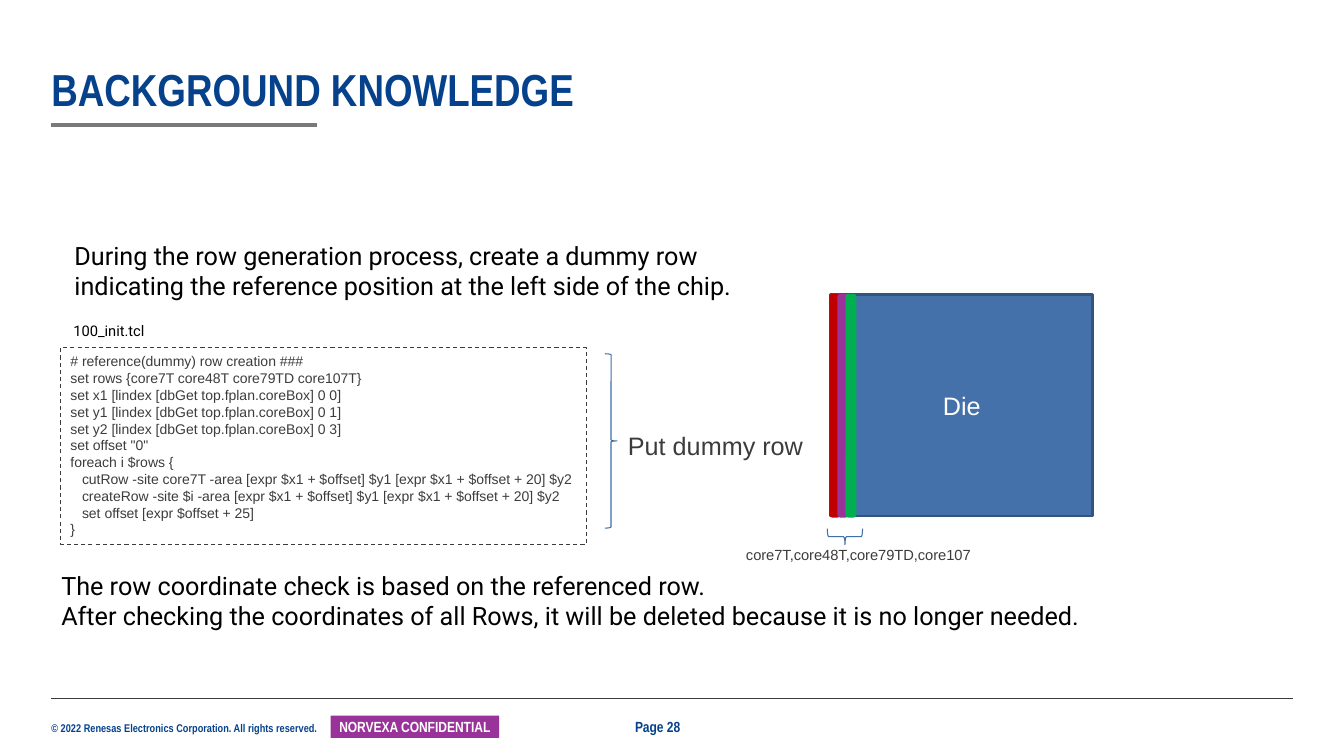
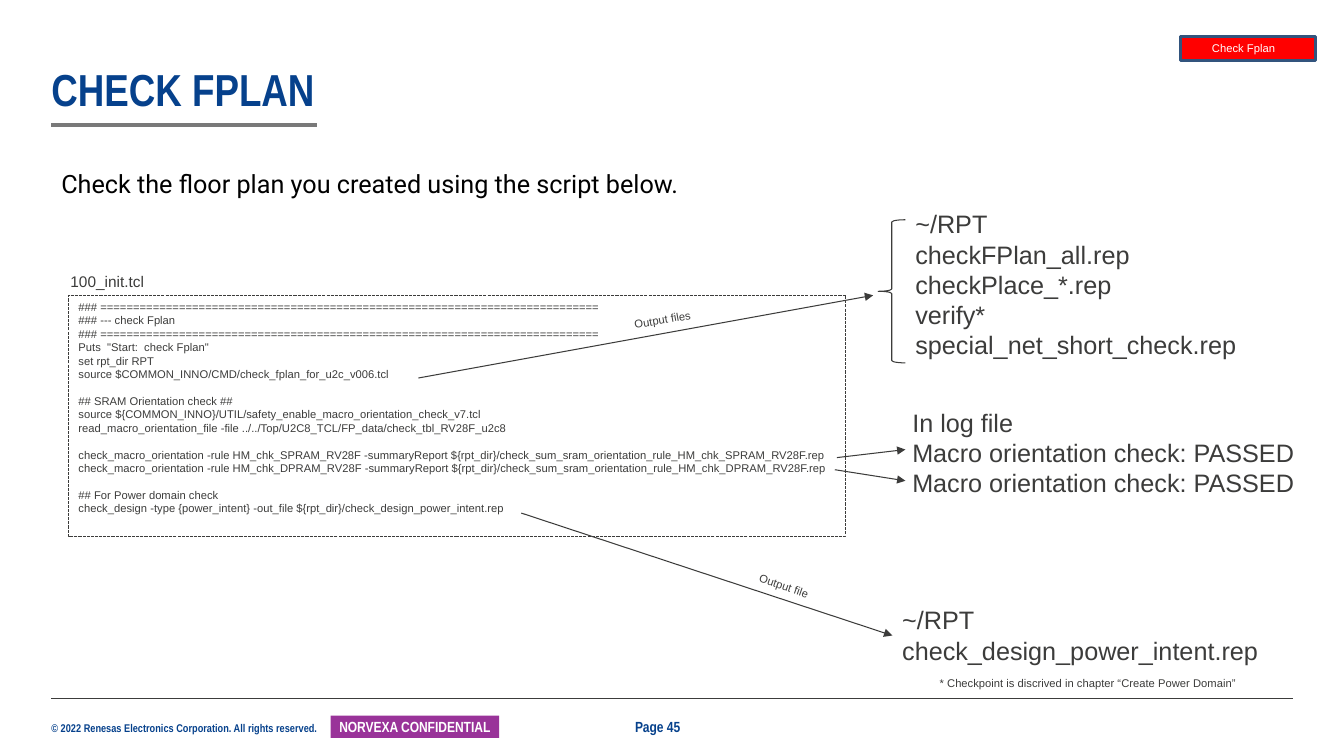
from dataclasses import dataclass

from lxml.etree import SubElement
from pptx import Presentation
from pptx.dml.color import RGBColor
from pptx.enum.dml import MSO_LINE as Dash
from pptx.enum.shapes import MSO_CONNECTOR as Connector, MSO_SHAPE as Preset
from pptx.enum.text import MSO_ANCHOR as Anchor, MSO_AUTO_SIZE as Fit, PP_ALIGN as Align
from pptx.oxml.ns import qn
from pptx.util import Emu, Pt

PX = 9144


@dataclass(frozen=True)
class Theme:
    navy: str = "06418C"
    ink: str = "3C3C3B"
    black: str = "000000"
    white: str = "FFFFFF"
    rule: str = "797979"
    purple: str = "993399"
    crimson: str = "C00000"
    green: str = "00B050"
    red: str = "FF0000"
    blue: str = "4471A9"
    edge: str = "32547D"
    brace: str = "406EA8"
    heading: str = "Arial Narrow"
    body: str = "Arial"
    prose: str = "Roboto"
    title: int = 32
    large: int = 18
    file_name: int = 11
    label: float = 10.5
    code: int = 10
    small: int = 8
    code_gap: float = 9.6


THEME = Theme()

ROW_BLOCKS = ("""# reference(dummy) row creation ###
set rows {core7T core48T core79TD core107T}
set x1 [lindex [dbGet top.fplan.coreBox] 0 0]
set y1 [lindex [dbGet top.fplan.coreBox] 0 1]
set y2 [lindex [dbGet top.fplan.coreBox] 0 3]
set offset "0"
foreach i $rows {
   cutRow -site core7T -area [expr $x1 + $offset] $y1 [expr $x1 + $offset + 20] $y2
   createRow -site $i -area [expr $x1 + $offset] $y1 [expr $x1 + $offset + 20] $y2
   set offset [expr $offset + 25]
}""",)

CHECK_BLOCKS = (
    """### ============================================================================
### --- check Fplan
### ============================================================================
Puts  "Start:  check Fplan"
set rpt_dir RPT
source $COMMON_INNO/CMD/check_fplan_for_u2c_v006.tcl""",
    """## SRAM Orientation check ##
source ${COMMON_INNO}/UTIL/safety_enable_macro_orientation_check_v7.tcl
read_macro_orientation_file -file ../../Top/U2C8_TCL/FP_data/check_tbl_RV28F_u2c8""",
    """check_macro_orientation -rule HM_chk_SPRAM_RV28F -summaryReport ${rpt_dir}/check_sum_sram_orientation_rule_HM_chk_SPRAM_RV28F.rep
check_macro_orientation -rule HM_chk_DPRAM_RV28F -summaryReport ${rpt_dir}/check_sum_sram_orientation_rule_HM_chk_DPRAM_RV28F.rep""",
    """## For Power domain check
check_design -type {power_intent} -out_file ${rpt_dir}/check_design_power_intent.rep""",
)


def px(value):
    return Emu(round(value * PX))


def color(value):
    return RGBColor.from_string(value)


def write(box, *blocks, size=THEME.large, font=THEME.body, ink=THEME.ink, bold=False,
          align=Align.LEFT, anchor=Anchor.TOP, inset=(10, 5, 10, 5), wrap=False,
          spacing=None):
    frame = box.text_frame
    frame.word_wrap = wrap
    frame.auto_size = Fit.NONE if wrap else Fit.SHAPE_TO_FIT_TEXT
    frame.vertical_anchor = anchor
    frame.margin_left, frame.margin_top, frame.margin_right, frame.margin_bottom = map(px, inset)
    lines = [(line, index == 0) for block in blocks
             for index, line in enumerate(block.split("\n"))]
    for number, (line, opens_block) in enumerate(lines):
        para = frame.add_paragraph() if number else frame.paragraphs[0]
        para.alignment = align
        if spacing:
            para.line_spacing = spacing
        if number and opens_block:
            para.space_before = Pt(THEME.code_gap)
        span = para.add_run()
        span.text = line
        span.font.size = Pt(size)
        span.font.name = font
        span.font.bold = bold
        span.font.color.rgb = color(ink)


def add_text(page, area, text, rotation=0, **style):
    box = page.shapes.add_textbox(*map(px, area))
    box.rotation = rotation
    write(box, text, **style)
    return box


def add_figure(page, preset, area, fill=None, line=None, weight=0.75, dash=None, rotation=0):
    figure = page.shapes.add_shape(preset, *map(px, area))
    figure.shadow.inherit = False
    figure.rotation = rotation
    if fill:
        figure.fill.solid()
        figure.fill.fore_color.rgb = color(fill)
    else:
        figure.fill.background()
    if line:
        figure.line.color.rgb = color(line)
        figure.line.width = Pt(weight)
        if dash:
            figure.line.dash_style = dash
    else:
        figure.line.fill.background()
    return figure


def add_line(page, start, end, ink=THEME.ink, weight=0.75, arrow=False):
    line = page.shapes.add_connector(Connector.STRAIGHT, *map(px, (*start, *end)))
    line.line.color.rgb = color(ink)
    line.line.width = Pt(weight)
    properties = line._element.spPr
    if arrow:
        SubElement(properties.find(qn("a:ln")), qn("a:tailEnd"), type="triangle")
    SubElement(properties, qn("a:effectLst"))
    return line


def add_code(page, area, blocks, size, dash):
    box = add_figure(page, Preset.RECTANGLE, area, line=THEME.ink, dash=dash)
    write(box, *blocks, size=size)


def add_page(deck, title, number):
    page = deck.slides.add_slide(deck.slide_layouts[6])
    brand = dict(font=THEME.heading, ink=THEME.navy, bold=True)
    add_text(page, (51, 716, 273, 13),
             "© 2022 Renesas Electronics Corporation. All rights reserved.",
             size=THEME.small, inset=(0, 0, 0, 0), **brand)
    add_line(page, (51, 693), (1282, 693), weight=0.5)
    badge = add_figure(page, Preset.RECTANGLE, (328, 710, 167, 22), fill=THEME.purple)
    write(badge, "NORVEXA CONFIDENTIAL", size=THEME.label, font=THEME.heading,
          ink=THEME.white, bold=True, align=Align.CENTER, anchor=Anchor.MIDDLE,
          inset=(4, 0, 4, 0), wrap=True)
    add_line(page, (51, 124), (314, 124), ink=THEME.rule, weight=3)
    add_text(page, (620, 707, 67, 28), f"Page {number}", size=THEME.label, **brand)
    add_text(page, (51, 65, 1230, 50), title, size=THEME.title, anchor=Anchor.BOTTOM,
             inset=(0, 0, 0, 0), wrap=True, spacing=0.9, **brand)
    return page


def add_background_page(deck):
    page = add_page(deck, "BACKGROUND KNOWLEDGE", 28)
    prose = dict(font=THEME.prose, ink=THEME.black)
    add_code(page, (60, 345, 522, 195), ROW_BLOCKS, THEME.code, Dash.DASH)
    add_text(page, (63, 314, 91, 28), "100_init.tcl", size=THEME.label, **prose)

    die = add_figure(page, Preset.RECTANGLE, (824, 292, 260, 220),
                     fill=THEME.blue, line=THEME.edge, weight=2)
    write(die, "Die", ink=THEME.white, align=Align.CENTER, anchor=Anchor.MIDDLE, wrap=True)
    for index, tint in enumerate((THEME.crimson, THEME.purple, THEME.green)):
        add_figure(page, Preset.ROUNDED_RECTANGLE, (824 + 8 * index, 293, 8, 219),
                   fill=tint, line=tint, weight=2)

    add_figure(page, Preset.RIGHT_BRACE, (830, 515, 16, 35), line=THEME.brace, rotation=90)
    add_figure(page, Preset.RIGHT_BRACE, (600, 351, 12, 173), line=THEME.brace)
    add_text(page, (64, 233, 673, 71),
             "During the row generation process, create a dummy row\n"
             "indicating the reference position at the left side of the chip.", **prose)
    add_text(page, (613, 422, 196, 40), "Put dummy row")
    add_text(page, (51, 561, 1040, 71),
             "The row coordinate check is based on the referenced row.\n"
             "After checking the coordinates of all Rows, "
             "it will be deleted because it is no longer needed.", **prose)
    add_text(page, (730, 537, 251, 28), "core7T,core48T,core79TD,core107", size=THEME.label)


def add_check_page(deck):
    page = add_page(deck, "CHECK FPLAN", 45)
    tag = add_figure(page, Preset.RECTANGLE, (1171, 36, 134, 24),
                     fill=THEME.red, line=THEME.edge, weight=2)
    write(tag, "Check Fplan", size=THEME.small, ink=THEME.white, align=Align.CENTER,
          anchor=Anchor.MIDDLE, inset=(10, 5, 19, 5), wrap=True)
    add_code(page, (68, 293, 771, 239), CHECK_BLOCKS, THEME.small, Dash.SQUARE_DOT)
    add_text(page, (60, 265, 94, 29), "100_init.tcl", size=THEME.file_name)
    add_text(page, (51, 162, 640, 40),
             "Check the floor plan you created using the script below.",
             font=THEME.prose, ink=THEME.black)

    add_text(page, (898, 202, 341, 162),
             "~/RPT\ncheckFPlan_all.rep\ncheckPlace_*.rep\nverify*\nspecial_net_short_check.rep")
    add_figure(page, Preset.LEFT_BRACE, (871, 218, 27, 142), line=THEME.ink)
    add_text(page, (895, 399, 403, 114),
             "In log file\nMacro orientation check: PASSED\nMacro orientation check: PASSED")
    power_report = add_text(page, (885, 595, 396, 71),
                            "~/RPT\ncheck_design_power_intent.rep", wrap=True)
    add_text(page, (919, 666, 326, 24),
             "* Checkpoint is discrived in chapter “Create Power Domain”",
             size=THEME.small, inset=(13, 5, 10, 5))

    for start, end in (((415, 375), (866, 293)),
                       ((830, 454), (898, 446)),
                       ((828, 466), (898, 477))):
        add_line(page, start, end, arrow=True)
    power_arrow = add_line(page, (517, 509), (885, 631), arrow=True)
    power_arrow.end_connect(power_report, 1)

    add_text(page, (619, 305, 81, 24), "Output files", size=THEME.small, rotation=349.9)
    add_text(page, (742, 570, 75, 24), "Output file", size=THEME.small, rotation=19.5)


def main():
    deck = Presentation()
    deck.slide_width, deck.slide_height = px(1333), px(750)
    add_background_page(deck)
    add_check_page(deck)
    deck.save("out.pptx")


if __name__ == "__main__":
    main()
